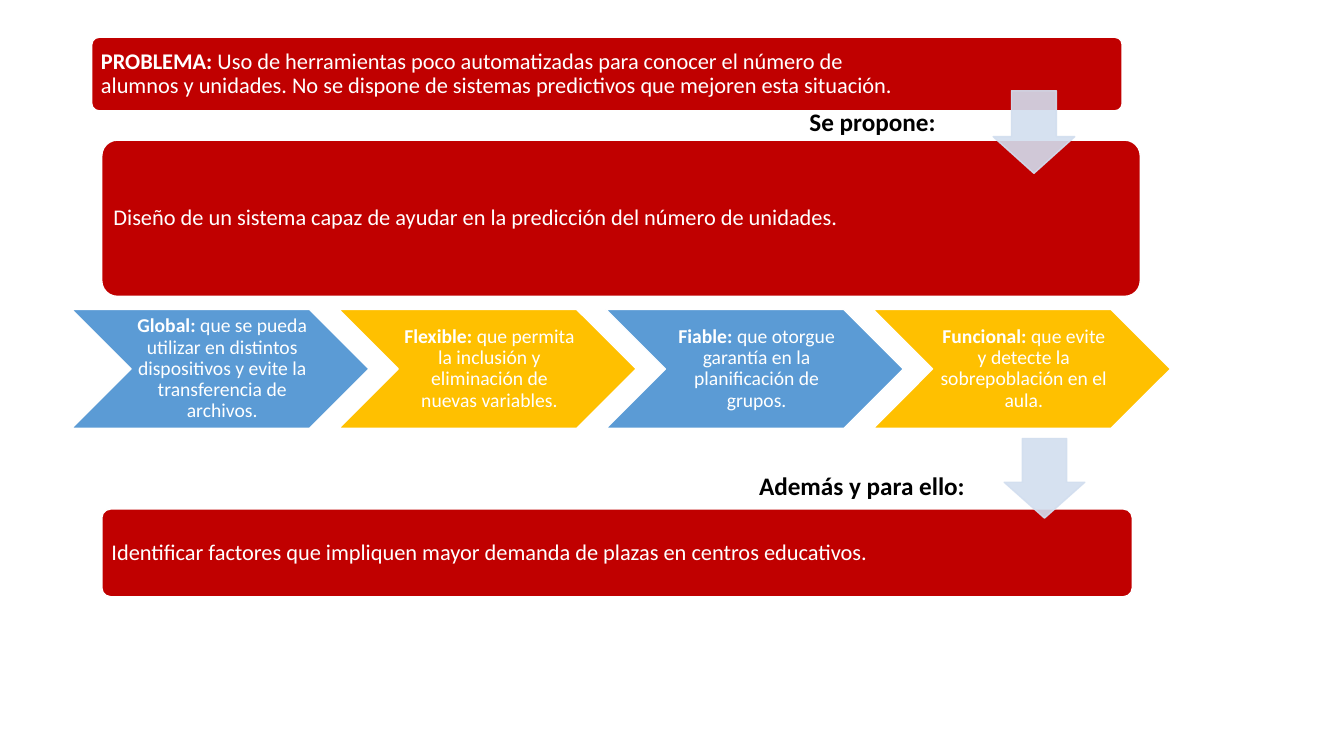
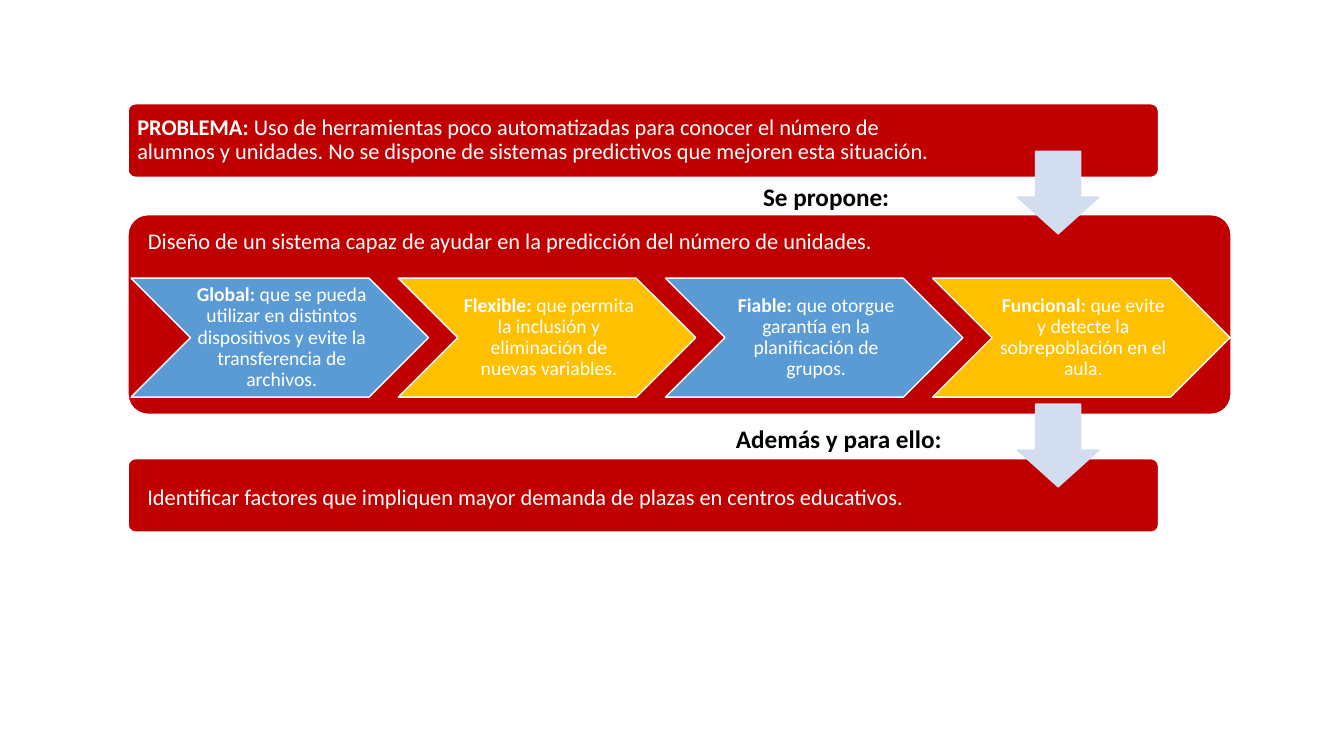
from dataclasses import dataclass
from typing import Any, NamedTuple

from lxml import etree
from pptx import Presentation
from pptx import util as u
from pptx.dml import color
from pptx.enum import shapes, text
from pptx.oxml import ns


@dataclass(frozen=True)
class Theme:
    red: str = "C00000"
    blue: str = "5B9BD5"
    gold: str = "FFC000"
    pale: str = "D2DEEF"
    white: str = "FFFFFF"
    black: str = "000000"
    font: str = "Calibri"
    bar: int = 16
    step: int = 14
    label: int = 18


THEME = Theme()
KIND = shapes.MSO_SHAPE
ALIGN = text.PP_ALIGN
ANCHOR = text.MSO_ANCHOR


class Box(NamedTuple):
    left: float
    top: float
    width: float
    height: float


class Words(NamedTuple):
    head: str
    body: str


class Pad(NamedTuple):
    left: float = 0.07
    top: float = 0.07
    right: float = 2.06
    bottom: float = 0.07


class Bar(NamedTuple):
    box: Box
    words: Words
    pad: Pad = Pad()
    anchor: Any = ANCHOR.MIDDLE


class Label(NamedTuple):
    left: float
    top: float
    words: str


class Page(NamedTuple):
    bars: list[Bar]
    row: tuple[float, float]
    labels: list[Label]
    arrows: list[Box]
    alpha: int


ISSUE = Words(
    "PROBLEMA: ",
    "Uso de herramientas poco automatizadas para conocer el número de alumnos "
    "y unidades. No se dispone de sistemas predictivos que mejoren esta situación.",
)
PLAN = Words(
    "", "Diseño de un sistema capaz de ayudar en la predicción del número de unidades."
)
FACTORS = Words(
    "", "Identificar factores que impliquen mayor demanda de plazas en centros educativos."
)
STEPS = [
    Words("Global: ", "que se pueda utilizar en distintos dispositivos y evite "
          "la transferencia de archivos."),
    Words("Flexible: ", "que permita la inclusión y eliminación de nuevas variables."),
    Words("Fiable: ", "que otorgue garantía en la planificación de grupos."),
    Words("Funcional: ", "que evite y detecte la sobrepoblación en el aula."),
]
STEP_SIZE = (2.95, 1.18)
STEP_PITCH = 2.65
STEP_PAD = Pad(0.06, 0.02, 0.02, 0.02)
PROPOSE = "Se propone:"
ALSO = "Además y para ello:"

PAGES = [
    Page(
        bars=[
            Bar(Box(0.91, 0.37, 10.22, 0.73), ISSUE),
            Bar(Box(1.01, 1.39, 10.3, 1.55), PLAN),
            Bar(Box(1.01, 5.05, 10.22, 0.87), FACTORS),
        ],
        row=(0.71, 3.07),
        labels=[Label(7.93, 1.01, PROPOSE), Label(7.43, 4.62, ALSO)],
        arrows=[Box(9.85, 0.9, 0.81, 0.82), Box(9.96, 4.35, 0.8, 0.79)],
        alpha=90,
    ),
    Page(
        bars=[
            Bar(Box(1.27, 1.03, 10.22, 0.73), ISSUE),
            Bar(Box(1.27, 2.13, 10.94, 1.98), PLAN, Pad(left=0.14, top=0.1), ANCHOR.TOP),
            Bar(Box(1.27, 4.55, 10.22, 0.73), FACTORS, Pad(left=0.17, top=0.13)),
        ],
        row=(1.3, 2.76),
        labels=[Label(7.47, 1.75, PROPOSE), Label(7.2, 4.15, ALSO)],
        arrows=[Box(10.09, top, 0.81, 0.82) for top in (1.5, 4.01)],
        alpha=100,
    ),
]


def assign(target: Any, values: dict[str, Any]) -> None:
    for name, value in values.items():
        setattr(target, name, value)


def inches(box: Box) -> list[u.Length]:
    return [u.Inches(value) for value in box]


def write(shape: Any, words: Words, size: int, tint: str, align: Any) -> None:
    para = shape.text_frame.paragraphs[0]
    para.alignment = align
    for part, bold in ((words.head, True), (words.body, False)):
        if part:
            run = para.add_run()
            run.text = part
            assign(run.font, {"name": THEME.font, "size": u.Pt(size), "bold": bold})
            run.font.color.rgb = color.RGBColor.from_string(tint)


def draw(slide: Any, kind: Any, box: Box, fill: str, line: str,
         adjust: tuple[float, ...]) -> Any:
    shape = slide.shapes.add_shape(kind, *inches(box))
    shape.shadow.inherit = False
    shape.fill.solid()
    shape.fill.fore_color.rgb = color.RGBColor.from_string(fill)
    shape.line.color.rgb = color.RGBColor.from_string(line)
    shape.line.width = u.Pt(1)
    for index, value in enumerate(adjust):
        shape.adjustments[index] = value
    return shape


def fit(shape: Any, pad: Pad, anchor: Any) -> None:
    frame = shape.text_frame
    assign(frame, {
        "word_wrap": True,
        "vertical_anchor": anchor,
        "margin_left": u.Inches(pad.left),
        "margin_top": u.Inches(pad.top),
        "margin_right": u.Inches(pad.right),
        "margin_bottom": u.Inches(pad.bottom),
    })
    frame.paragraphs[0].line_spacing = 0.9


def add_bar(slide: Any, bar: Bar) -> None:
    shape = draw(slide, KIND.ROUNDED_RECTANGLE, bar.box, THEME.red, THEME.white, (0.1,))
    fit(shape, bar.pad, bar.anchor)
    write(shape, bar.words, THEME.bar, THEME.white, ALIGN.LEFT)


def add_row(slide: Any, left: float, top: float) -> None:
    for index, words in enumerate(STEPS):
        box = Box(left + index * STEP_PITCH, top, *STEP_SIZE)
        fill = (THEME.blue, THEME.gold)[index % 2]
        shape = draw(slide, KIND.CHEVRON, box, fill, THEME.white, (0.5,))
        fit(shape, STEP_PAD, ANCHOR.MIDDLE)
        write(shape, words, THEME.step, THEME.white, ALIGN.CENTER)


def add_label(slide: Any, label: Label) -> None:
    box = Box(label.left, label.top, 2.96, 0.4)
    shape = slide.shapes.add_textbox(*inches(box))
    assign(shape.text_frame, {
        "word_wrap": True,
        "auto_size": text.MSO_AUTO_SIZE.SHAPE_TO_FIT_TEXT,
    })
    write(shape, Words(label.words, ""), THEME.label, THEME.black, ALIGN.LEFT)


def add_arrow(slide: Any, box: Box, alpha: int) -> None:
    shape = draw(slide, KIND.DOWN_ARROW, box, THEME.pale, THEME.pale, (0.55, 0.45))
    if alpha < 100:
        for tint in shape.element.spPr.iter(ns.qn("a:srgbClr")):
            etree.SubElement(tint, ns.qn("a:alpha"), val=str(alpha * 1000))


def build(deck: Any, page: Page) -> None:
    slide = deck.slides.add_slide(deck.slide_layouts[6])
    for bar in page.bars:
        add_bar(slide, bar)
    add_row(slide, *page.row)
    for label in page.labels:
        add_label(slide, label)
    for box in page.arrows:
        add_arrow(slide, box, page.alpha)


def main() -> None:
    deck = Presentation()
    assign(deck, {"slide_width": u.Inches(13.33), "slide_height": u.Inches(7.5)})
    for page in PAGES:
        build(deck, page)
    deck.save("out.pptx")


if __name__ == "__main__":
    main()
